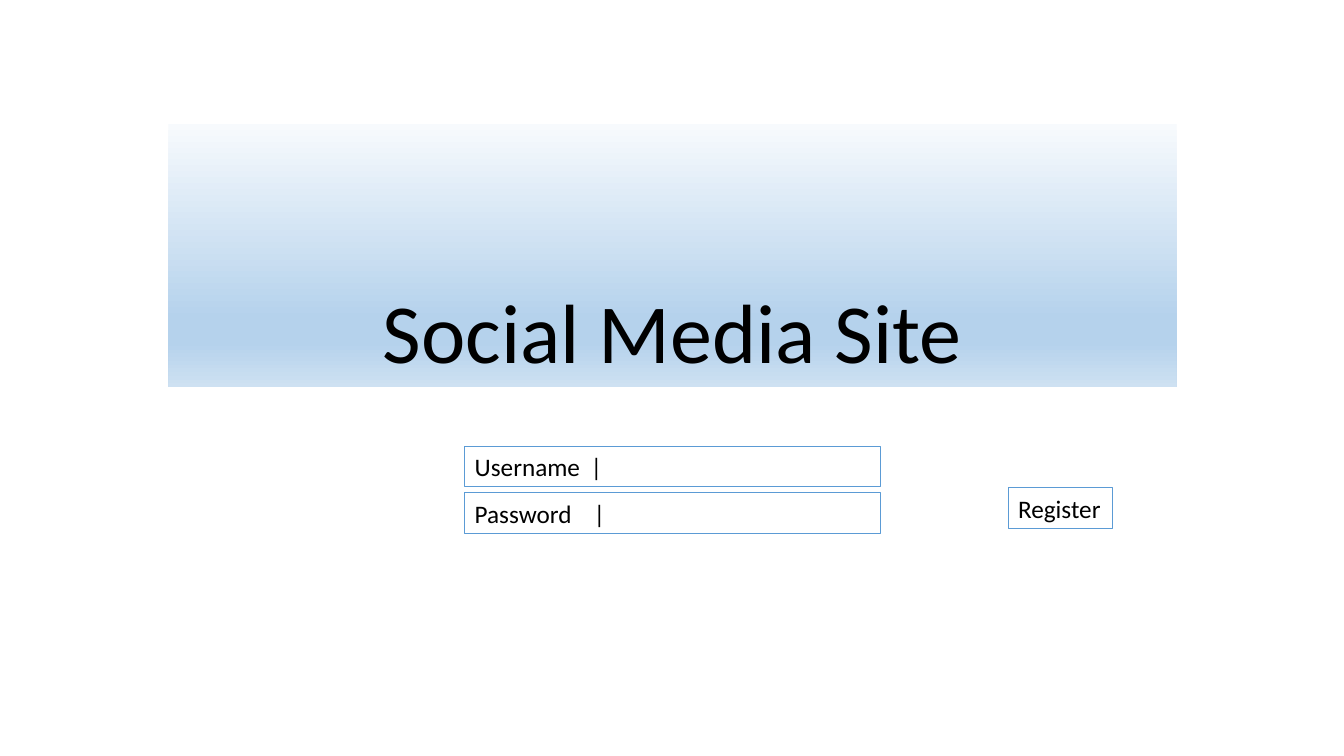
from copy import deepcopy
from lxml.etree import SubElement
from pptx import Presentation
from pptx.dml.color import RGBColor
from pptx.enum.shapes import MSO_SHAPE
from pptx.enum.text import MSO_ANCHOR, PP_ALIGN
from pptx.oxml.ns import qn
from pptx.util import Inches, Pt

"""Build a sign-in slide with a title banner, two fields and a button."""

BLACK = RGBColor(0, 0, 0)
WHITE = RGBColor(255, 255, 255)
BLUE = RGBColor(0x5B, 0x9B, 0xD5)
STOPS = [(0, "F7FAFD"), (74, "B5D2EC"), (83, "B5D2EC"), (100, "CEE1F2")]

TITLE = "Social Media Site"
FIELDS = [("Username\t|", 1.15), ("Password\t|", 1.18)]
BUTTON = "Register"
LEFT, TOP, STEP, WIDE, HIGH = 4.61, 4.43, 0.46, 4.12, 0.4


def write(shape, text, size=18, align=PP_ALIGN.LEFT, anchor=MSO_ANCHOR.TOP,
          space=1.0, wrap=True, tab=None):
    frame = shape.text_frame
    frame.word_wrap = wrap
    frame.vertical_anchor = anchor
    para = frame.paragraphs[0]
    para.alignment = align
    para.line_spacing = space
    if tab:
        tabs = SubElement(para._p.get_or_add_pPr(), qn("a:tabLst"))
        SubElement(tabs, qn("a:tab"), pos=str(Inches(tab)), algn="l")
    run = para.add_run()
    run.text = text
    run.font.size = Pt(size)
    run.font.name = "Calibri"
    run.font.color.rgb = BLACK


def place(shape, *box):
    shape.left, shape.top, shape.width, shape.height = map(Inches, box)


def shade(shape, stops):
    shape.fill.gradient()
    shape.fill.gradient_angle = 270
    group = shape._element.spPr.find(qn("a:gradFill")).find(qn("a:gsLst"))
    model = deepcopy(group[0])
    for old in list(group):
        group.remove(old)
    for _ in stops:
        group.append(deepcopy(model))
    for stop, (spot, color) in zip(shape.fill.gradient_stops, stops):
        stop.position = spot / 100
        stop.color.rgb = RGBColor.from_string(color)


def frame_box(slide, text, *box, **style):
    shape = slide.shapes.add_shape(MSO_SHAPE.RECTANGLE, *map(Inches, box))
    shape.shadow.inherit = False
    shape.fill.solid()
    shape.fill.fore_color.rgb = WHITE
    shape.line.color.rgb = BLUE
    shape.line.width = Pt(0.75)
    write(shape, text, **style)


deck = Presentation()
deck.slide_width, deck.slide_height = Inches(13.33), Inches(7.5)
slide = deck.slides.add_slide(deck.slide_layouts[5])

title = slide.shapes.title
place(title, 1.67, 1.23, 10, 2.61)
shade(title, STOPS)
write(title, TITLE, size=60, align=PP_ALIGN.CENTER,
      anchor=MSO_ANCHOR.BOTTOM, space=0.9)

for row, (label, tab) in enumerate(FIELDS):
    frame_box(slide, label, LEFT, TOP + row * STEP, WIDE, HIGH, tab=tab)
frame_box(slide, BUTTON, 10, 4.84, 1.03, HIGH, wrap=False)

deck.save("out.pptx")
